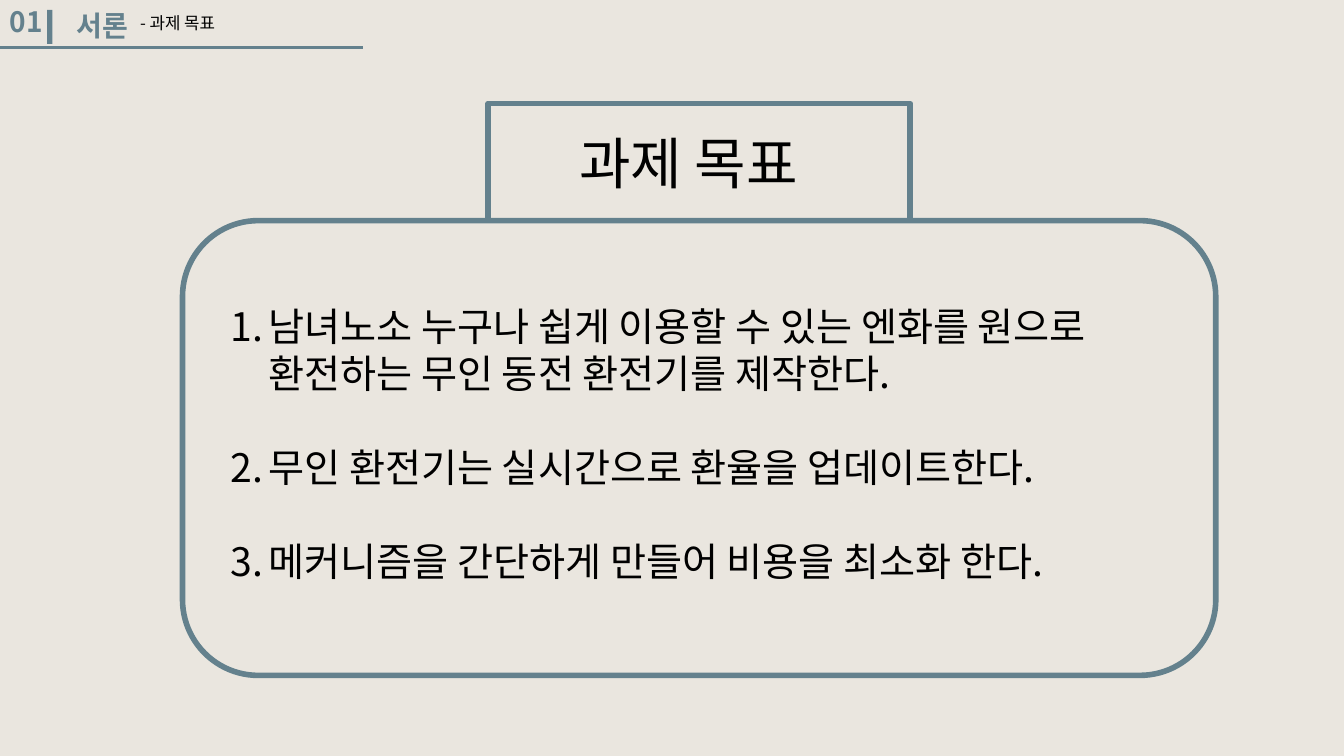
from lxml import etree
from pptx import Presentation
from pptx.dml.color import RGBColor
from pptx.enum.shapes import MSO_CONNECTOR, MSO_SHAPE
from pptx.enum.text import MSO_ANCHOR, MSO_AUTO_SIZE, PP_ALIGN
from pptx.oxml.ns import qn
from pptx.util import Cm, Pt

RECTANGLE, ROUNDED = MSO_SHAPE.RECTANGLE, MSO_SHAPE.ROUNDED_RECTANGLE
STRAIGHT = MSO_CONNECTOR.STRAIGHT
TOP, LEFT, NO_FIT = MSO_ANCHOR.TOP, PP_ALIGN.LEFT, MSO_AUTO_SIZE.NONE

# Content
SECTION_NUMBER = "01"
SECTION_NAME = "서론"
SECTION_TOPIC = "- 과제 목표"
TITLE = "과제 목표"
GOALS = [
    "남녀노소 누구나 쉽게 이용할 수 있는 엔화를 원으로 환전하는 무인 동전 환전기를 제작한다.",
    "무인 환전기는 실시간으로 환율을 업데이트한다.",
    "메커니즘을 간단하게 만들어 비용을 최소화 한다.",
]

# Style: lengths in centimetres, sizes in points
FONT = "Noto Sans CJK KR"
COLORS = {"background": "EAE6DF", "accent": "64818D", "text": "000000"}
GOAL_SIZE = 28
GOAL_GAP = GOAL_SIZE * 1.2
GOAL_INDENT = Cm(0.95)
FRAME_WIDTH = 4
PANEL = (4.6, 5.56, 26.04, 11.46)
TAB_WIDTH, TAB_HEIGHT = 10.64, 2.95
TAB = (PANEL[0] + (PANEL[2] - TAB_WIDTH) / 2, PANEL[1] - TAB_HEIGHT,
       TAB_WIDTH, TAB_HEIGHT)


def color(name):
    return RGBColor.from_string(COLORS[name])


def lengths(box):
    return [Cm(value) for value in box]


def write(shape, lines, box, size, ink="text", bold=False, gap=0, numbered=False):
    """Place a text shape and fill it with formatted paragraphs."""
    shape.left, shape.top, shape.width, shape.height = lengths(box)
    frame = shape.text_frame
    frame.word_wrap = True
    frame.auto_size = NO_FIT
    frame.vertical_anchor = TOP
    for index, line in enumerate(lines):
        paragraph = frame.add_paragraph() if index else frame.paragraphs[0]
        paragraph.alignment = LEFT
        paragraph.space_before = Pt(gap if index else 0)
        if numbered:
            properties = paragraph._p.get_or_add_pPr()
            properties.set("marL", str(GOAL_INDENT))
            properties.set("indent", str(-GOAL_INDENT))
            etree.SubElement(properties, qn("a:buFont"), typeface="+mj-lt")
            etree.SubElement(properties, qn("a:buAutoNum"), type="arabicPeriod")
        run = paragraph.add_run()
        run.text = line
        run.font.size = Pt(size)
        run.font.bold = bold
        run.font.color.rgb = color(ink)
        run.font.name = FONT
        etree.SubElement(run._r.get_or_add_rPr(), qn("a:ea"), typeface=FONT)


def add_text(slide, text, box, size, **style):
    write(slide.shapes.add_textbox(*lengths(box)), [text], box, size, **style)


def add_frame(slide, kind, box):
    shape = slide.shapes.add_shape(kind, *lengths(box))
    shape.shadow.inherit = False
    shape.fill.background()
    shape.line.color.rgb = color("accent")
    shape.line.width = Pt(FRAME_WIDTH)


def add_header(slide):
    add_text(slide, SECTION_NUMBER, (0, 0, 1.88, 1.12), 20, ink="accent", bold=True)
    bar = slide.shapes.add_shape(RECTANGLE, *lengths((1.19, 0.25, 0.13, 0.86)))
    bar.shadow.inherit = False
    bar.fill.solid()
    bar.fill.fore_color.rgb = color("accent")
    bar.line.fill.background()
    rule = slide.shapes.add_connector(STRAIGHT, *lengths((0, 1.19, 9.14, 1.19)))
    rule.line.color.rgb = color("accent")
    rule.line.width = Pt(2.25)
    etree.SubElement(rule._element.spPr, qn("a:effectLst"))
    add_text(slide, SECTION_NAME, (1.68, 0.1, 8.66, 1.12), 20, ink="accent", bold=True)
    add_text(slide, SECTION_TOPIC, (3.28, 0.2, 6.32, 0.76), 12)


def main():
    presentation = Presentation()
    presentation.slide_width, presentation.slide_height = Cm(33.87), Cm(19.05)
    slide = presentation.slides.add_slide(presentation.slide_layouts[1])
    slide.background.fill.solid()
    slide.background.fill.fore_color.rgb = color("background")

    # Section header
    add_header(slide)

    # Title tab and numbered goals
    add_frame(slide, ROUNDED, PANEL)
    add_frame(slide, RECTANGLE, TAB)
    write(slide.shapes.title, [TITLE], (14.35, 3.1, 6.83, 1.96), 40)
    write(slide.placeholders[1], GOALS, (5.56, 7.49, 25.07, 7.44), GOAL_SIZE,
          gap=GOAL_GAP, numbered=True)

    presentation.save("out.pptx")


if __name__ == "__main__":
    main()
